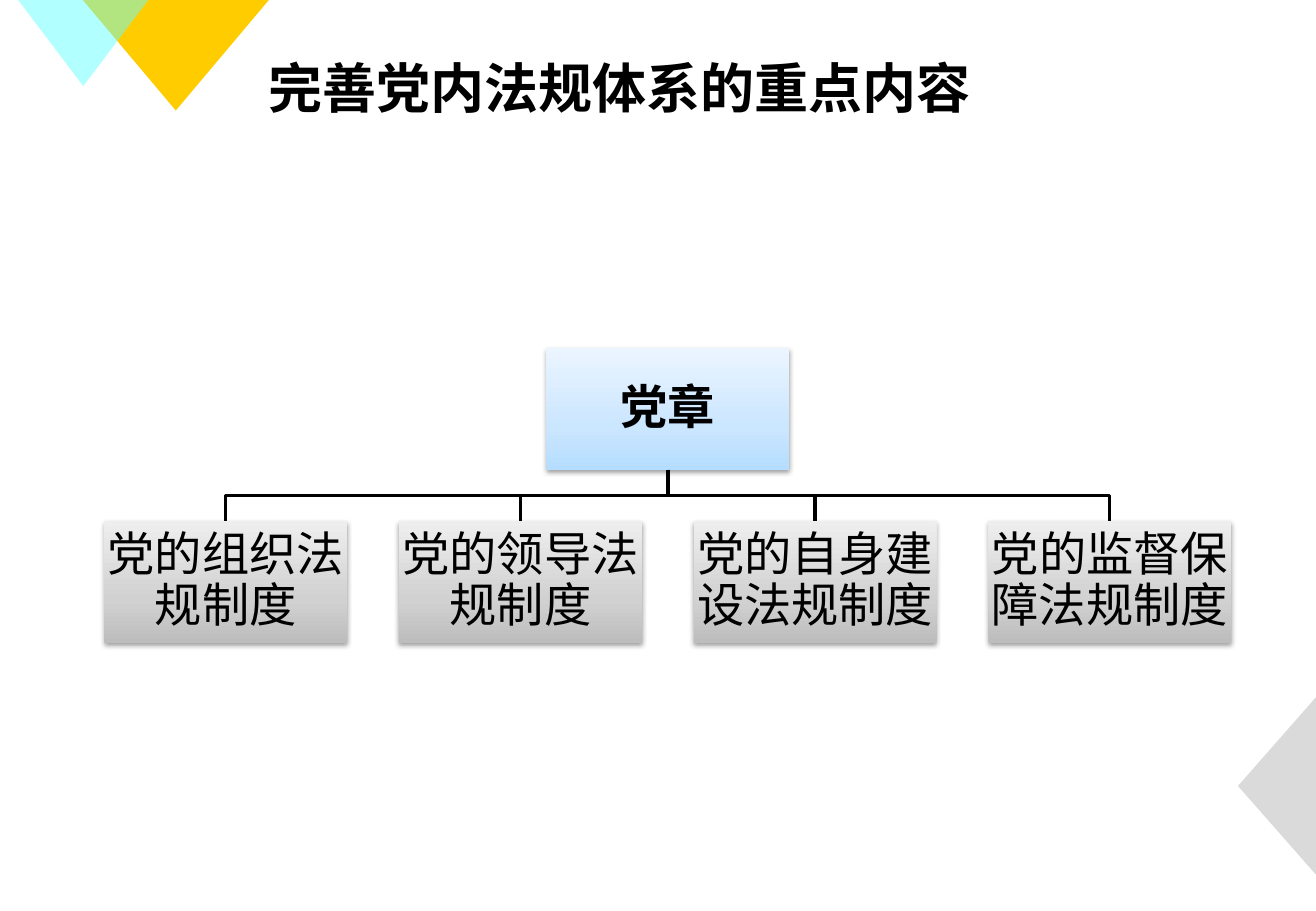
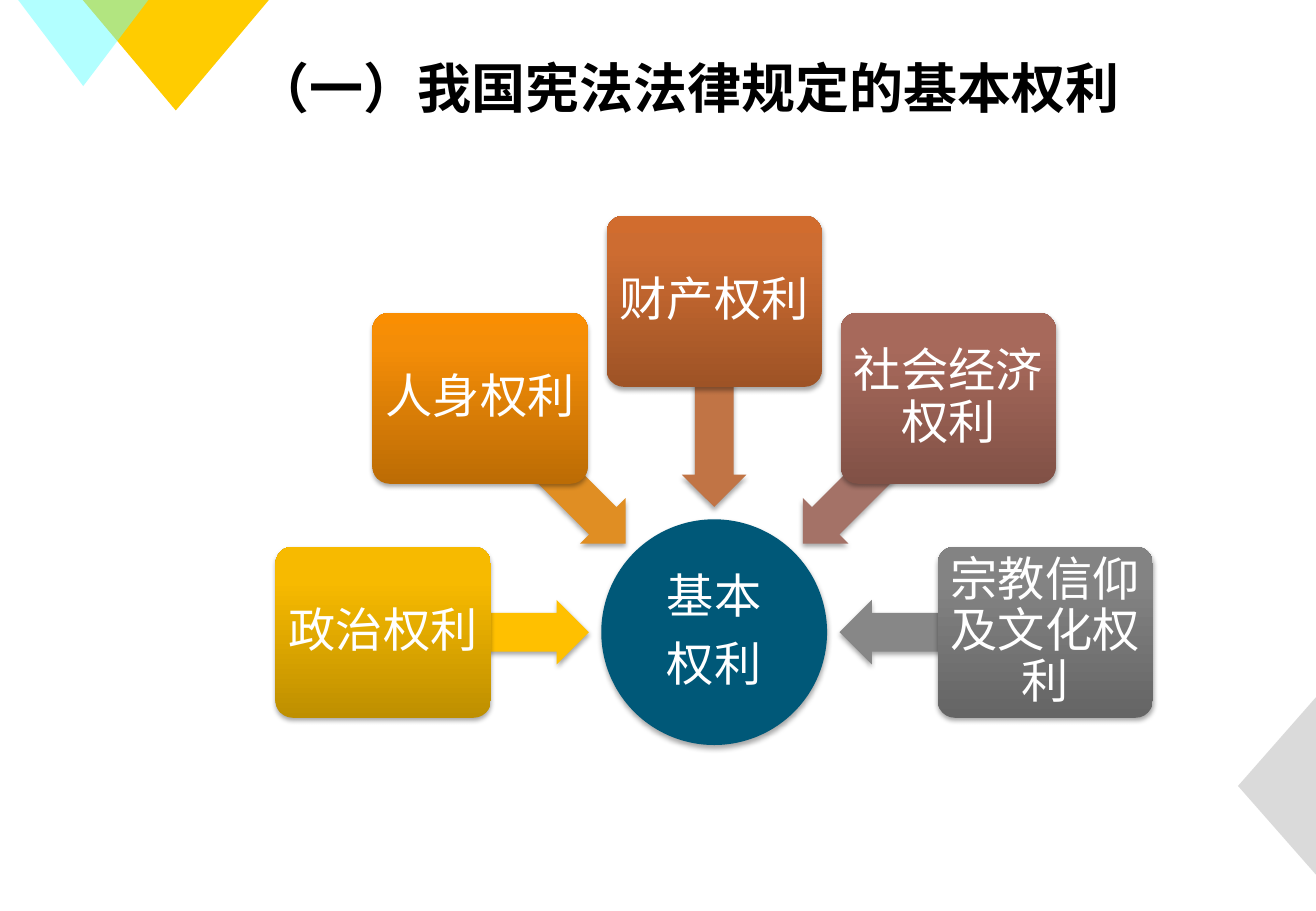
from math import cos, radians, sin

from lxml import etree
from pptx import Presentation
from pptx.dml.color import RGBColor as RGB
from pptx.enum.shapes import MSO_CONNECTOR as LINE, MSO_SHAPE as SHAPE
from pptx.enum.text import MSO_ANCHOR as ANCHOR, PP_ALIGN as ALIGN
from pptx.oxml import parse_xml
from pptx.oxml.ns import nsdecls, qn
from pptx.util import Cm, Pt

FONT = "Noto Sans CJK SC"
COLORS = {
    "text": "000000",
    "light_text": "FFFFFF",
    "yellow": "FFCC00",
    "cyan": "66FFFF",
    "gray": "B7B7B7",
    "hub": "005878",
}
ROOT_GRADIENT = [(0, "B5DDFF"), (35, "CBE6FF"), (100, "EBF5FF")]
CHILD_GRADIENT = [(0, "BDBDBD"), (35, "D1D1D1"), (100, "EEEEEE")]


def write(tf, text, color, size=28, bold=False, align=ALIGN.CENTER, spacing=0.9, inset=None):
    tf.text = text
    tf.word_wrap = True
    tf.vertical_anchor = ANCHOR.MIDDLE
    if inset is not None:
        tf.margin_left = tf.margin_right = tf.margin_top = tf.margin_bottom = Cm(inset)
    for p in tf.paragraphs:
        p.alignment = align
        p.line_spacing = spacing
        for r in p.runs:
            r.font.size = Pt(size)
            r.font.bold = bold
            r.font.name = FONT
            r.font.color.rgb = RGB.from_string(COLORS[color])
            etree.SubElement(r._r.get_or_add_rPr(), qn("a:ea"), typeface=FONT)


def paint(s, fill, shadow_alpha=35, shadow_dist=1.8):
    s.line.fill.background()
    sp_pr = s.element.spPr
    if isinstance(fill, str):
        s.fill.solid()
        s.fill.fore_color.rgb = RGB.from_string(fill)
    else:
        stops = "".join(
            f'<a:gs pos="{pos * 1000}"><a:srgbClr val="{color}"/></a:gs>' for pos, color in fill
        )
        sp_pr.find(qn("a:prstGeom")).addnext(parse_xml(
            f'<a:gradFill rotWithShape="1" {nsdecls("a")}><a:gsLst>{stops}</a:gsLst>'
            '<a:lin ang="16200000" scaled="0"/></a:gradFill>'
        ))
    sp_pr.append(parse_xml(
        f'<a:effectLst {nsdecls("a")}><a:outerShdw blurRad="{Pt(3.1)}" dist="{Pt(shadow_dist)}"'
        ' dir="5400000" rotWithShape="0"><a:srgbClr val="000000">'
        f'<a:alpha val="{shadow_alpha * 1000}"/></a:srgbClr></a:outerShdw></a:effectLst>'
    ))


prs = Presentation()
prs.slide_width, prs.slide_height = Cm(27.51), Cm(19.05)
layout = prs.slide_layouts[5]

slides = []
for text, left in [
    ("完善党内法规体系的重点内容", 5.36),
    ("（一）我国宪法法律规定的基本权利", 5.08),
]:
    slide = prs.slides.add_slide(layout)
    title = slide.shapes.title
    title.left, title.top, title.width, title.height = Cm(left), Cm(0.91), Cm(19.79), Cm(1.8)
    write(title.text_frame, text, "text", size=32, bold=True, align=ALIGN.JUSTIFY, spacing=1.0)
    slides.append(slide)
chart_slide, rights_slide = slides

for i, (box, rotation, color, alpha) in enumerate([
    ((1.73, 0, 3.89, 2.31), 180, "yellow", 100),
    ((0.38, 0, 2.72, 1.8), 180, "cyan", 50),
    ((24.84, 15.62, 3.71, 1.63), 270, "gray", 50),
]):
    s = chart_slide.shapes.add_shape(SHAPE.ISOSCELES_TRIANGLE, *map(Cm, box))
    s.rotation = rotation
    s.shadow.inherit = False
    s.line.fill.background()
    s.fill.solid()
    s.fill.fore_color.rgb = RGB.from_string(COLORS[color])
    if alpha < 100:
        rgb = s.element.spPr.find(".//" + qn("a:srgbClr"))
        etree.SubElement(rgb, qn("a:alpha"), val=str(alpha * 1000))
    s.element.nvSpPr.cNvPr.set("id", str(20 + i))
    layout.shapes.element.insert(2 + i, s.element)

box_w, box_h = 5.08, 2.54
center_x, root_y, child_y, pitch = 13.96, 7.28, 10.9, 6.16
names = ["党的组织法规制度", "党的领导法规制度", "党的自身建设法规制度", "党的监督保障法规制度"]
child_xs = [center_x + (i - (len(names) - 1) / 2) * pitch for i in range(len(names))]

nodes = []
for text, x, y, gradient in [("党章", center_x, root_y, ROOT_GRADIENT)] + [
    (name, x, child_y, CHILD_GRADIENT) for name, x in zip(names, child_xs)
]:
    s = chart_slide.shapes.add_shape(
        SHAPE.RECTANGLE, Cm(x - box_w / 2), Cm(y), Cm(box_w), Cm(box_h)
    )
    paint(s, gradient, shadow_alpha=38, shadow_dist=1.6)
    write(s.text_frame, text, "text", bold=y == root_y, inset=0.05)
    nodes.append(s)
root, *children = nodes

drop = child_y - root_y - box_h
bus_y = child_y - drop / 2
for x, child in zip(child_xs, children):
    c = chart_slide.shapes.add_connector(
        LINE.ELBOW, Cm(center_x), Cm(root_y + box_h), Cm(x), Cm(child_y)
    )
    c.begin_connect(root, 2)
    c.end_connect(child, 0)
    span, mid_x = abs(x - center_x), (x + center_x) / 2
    c.left, c.top = Cm(mid_x - drop / 2), Cm(bus_y - span / 2)
    c.width, c.height = Cm(drop), Cm(span)
    xfrm = c.element.spPr.xfrm
    xfrm.rot, xfrm.flipH, xfrm.flipV = 90, False, x > center_x
    c.line.width = Pt(2)
    c.line.color.rgb = RGB.from_string(COLORS["text"])
    etree.SubElement(c.element.spPr, qn("a:effectLst"))

hub_x, hub_y, hub_d = 14.93, 13.22, 4.72
arrow_r, arrow_w, arrow_h = 4.78, 4.32, 1.35
right_r, right_w, right_h = 6.92, 4.5, 3.58

hub = rights_slide.shapes.add_shape(
    SHAPE.OVAL, Cm(hub_x - hub_d / 2), Cm(hub_y - hub_d / 2), Cm(hub_d), Cm(hub_d)
)
paint(hub, COLORS["hub"])
write(hub.text_frame, "基本\n权利", "light_text", inset=0.05)
hub.text_frame.paragraphs[0].space_after = Pt(9.8)

for i, (text, arrow_color, shades) in enumerate([
    ("政治权利", "FFC000", ("BE8F00", "F7BA00", "F8BB00")),
    ("人身权利", "E08E23", ("BC6C05", "F48D07", "FA8E02")),
    ("财产权利", "C17445", ("9E5326", "CD6C31", "D16C2E")),
    ("社会经济权利", "A47267", ("815146", "A7695B", "AA695A")),
    ("宗教信仰及文化权利", "878787", ("656565", "838383", "838383")),
]):
    angle = 180 + 45 * i
    dx, dy = cos(radians(angle)), sin(radians(angle))
    arrow = rights_slide.shapes.add_shape(
        SHAPE.LEFT_ARROW,
        Cm(hub_x + arrow_r * dx - arrow_w / 2), Cm(hub_y + arrow_r * dy - arrow_h / 2),
        Cm(arrow_w), Cm(arrow_h),
    )
    arrow.adjustments[0], arrow.adjustments[1] = 0.6, 0.5
    arrow.rotation = angle % 360
    paint(arrow, arrow_color)

    s = rights_slide.shapes.add_shape(
        SHAPE.ROUNDED_RECTANGLE,
        Cm(hub_x + right_r * dx - right_w / 2), Cm(hub_y + right_r * dy - right_h / 2),
        Cm(right_w), Cm(right_h),
    )
    s.adjustments[0] = 0.1
    paint(s, list(zip((0, 80, 100), shades)))
    write(s.text_frame, text, "light_text", inset=0.15)

prs.save("out.pptx")
